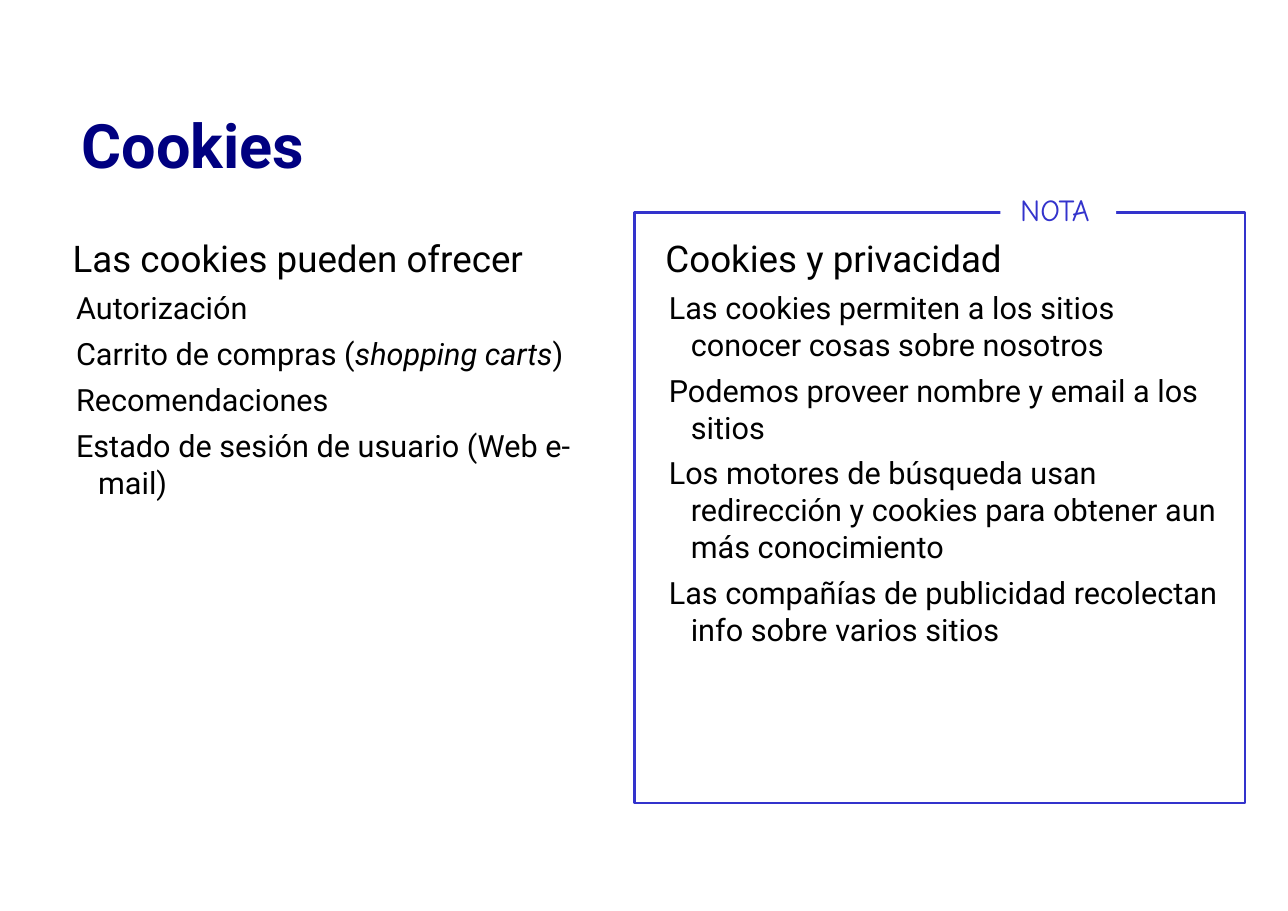
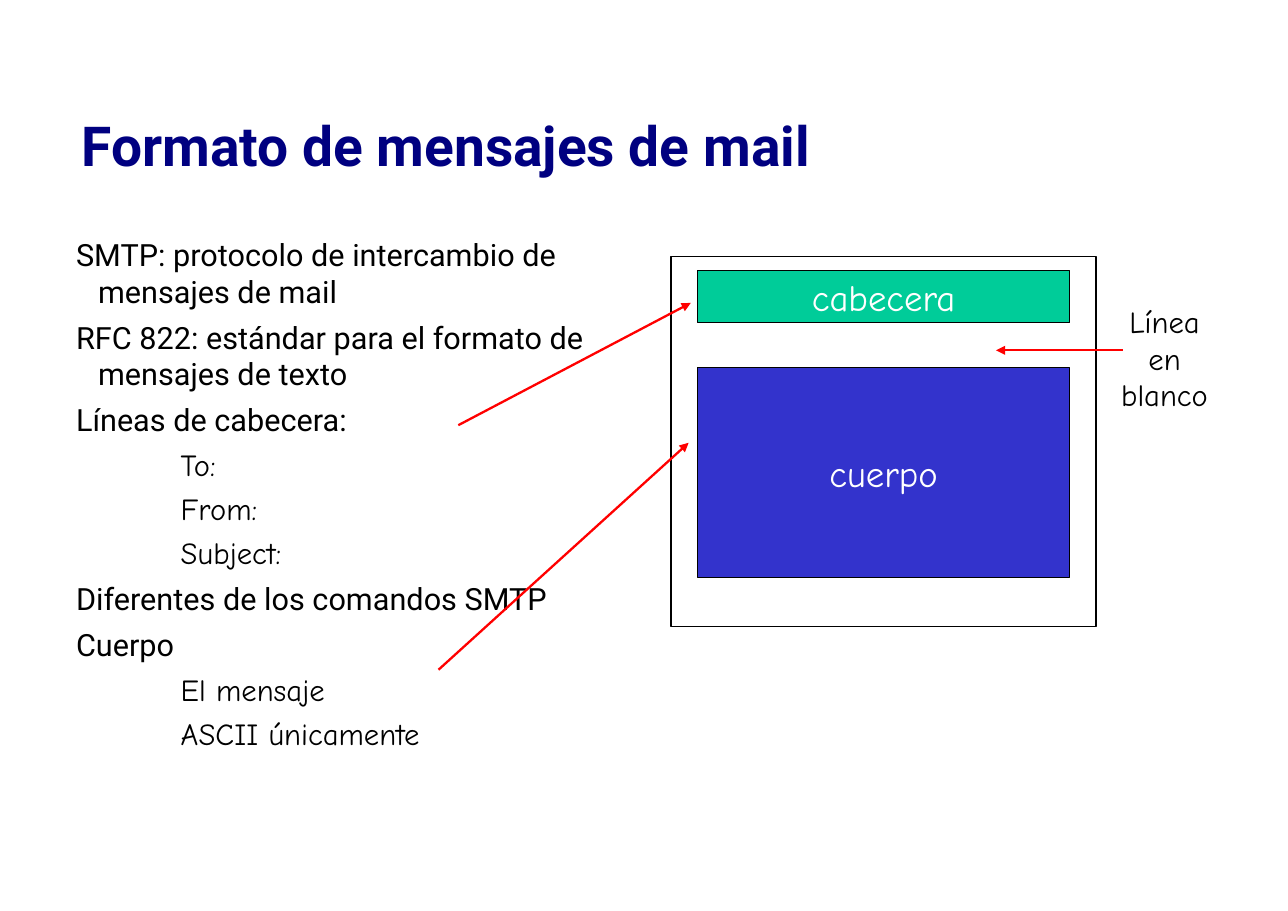
from pptx import Presentation
from pptx.dml.color import RGBColor
from pptx.enum import shapes, text
from pptx.oxml.ns import qn
from pptx.util import Inches, Pt
from lxml import etree

SANS, HAND = "Roboto", "Comic Neue"
NAVY, BLUE, GREEN, RED = "000080", "3333CC", "00CC99", "FF0000"
BLACK, WHITE = "000000", "FFFFFF"

# Paragraph levels: font, size, left margin, first-line indent, space before
LEVELS = [
    (SANS, 24, 0.37, -0.35, 6),
    (SANS, 20, 0.25, -0.2, 6),
    (HAND, 20, 1.25, -0.25, 5),
]

# Content: each line is a level and its runs; runs marked True are italic
OFFERS = [
    (0, [("Las cookies pueden ofrecer", False)]),
    (1, [("Autorización", False)]),
    (1, [("Carrito de compras (", False), ("shopping carts", True),
         (")", False)]),
    (1, [("Recomendaciones", False)]),
    (1, [("Estado de sesión de usuario (Web e-mail)", False)]),
]
PRIVACY = [
    (0, [("Cookies y privacidad", False)]),
    (1, [("Las cookies permiten a los sitios conocer cosas sobre nosotros",
          False)]),
    (1, [("Podemos proveer nombre y email a los sitios", False)]),
    (1, [("Los motores de búsqueda usan redirección y cookies para obtener "
          "aun más conocimiento", False)]),
    (1, [("Las compañías de publicidad recolectan info sobre varios sitios",
          False)]),
]
FORMAT = [
    (1, [("SMTP: protocolo de intercambio de mensajes de mail", False)]),
    (1, [("RFC 822: estándar para el formato de mensajes de texto", False)]),
    (1, [("Líneas de cabecera:", False)]),
    (2, [("To:", False)]),
    (2, [("From:", False)]),
    (2, [("Subject:", False)]),
    (1, [("Diferentes de los comandos SMTP", False)]),
    (1, [("Cuerpo", False)]),
    (2, [("El mensaje", False)]),
    (2, [("ASCII únicamente", False)]),
]
PARTS = [
    ("cabecera", GREEN, 2.46, 0.47),
    ("cuerpo", BLUE, 3.34, 1.9),
]
ARROWS = [
    (4.16, 3.86, 6.27, 2.75),
    (3.98, 6.08, 6.25, 4.02),
    (10.19, 3.18, 9.04, 3.18),
]


def rgb(code):
    return RGBColor.from_string(code)


def place(shape, *box):
    shape.left, shape.top, shape.width, shape.height = map(Inches, box)


def add_run(para, words, font, size, color, bold=False, italic=False):
    run = para.add_run()
    run.text = words
    face = run.font
    face.name, face.size, face.bold, face.italic = font, Pt(size), bold, italic
    face.color.rgb = rgb(color)


def set_title(slide, words, size):
    title = slide.shapes.title
    place(title, 0.64, 0.59, 10.5, 1.44)
    frame = title.text_frame
    frame.auto_size = text.MSO_AUTO_SIZE.NONE
    frame.vertical_anchor = text.MSO_ANCHOR.MIDDLE
    para = frame.paragraphs[0]
    para.alignment = text.PP_ALIGN.LEFT
    add_run(para, words, SANS, size, NAVY, bold=True)


def fill_list(holder, lines, left, height):
    place(holder, left, 2.14, 5.12, height)
    frame = holder.text_frame
    frame.auto_size = text.MSO_AUTO_SIZE.NONE
    frame.margin_left = frame.margin_right = 0
    frame.margin_top = frame.margin_bottom = 0
    for i, (level, runs) in enumerate(lines):
        para = frame.add_paragraph() if i else frame.paragraphs[0]
        font, size, margin, indent, before = LEVELS[level]
        para.level = level
        props = para._p.get_or_add_pPr()
        props.set("marL", str(Inches(margin)))
        props.set("indent", str(Inches(indent)))
        etree.SubElement(props, qn("a:buNone"))
        para.space_before = Pt(before if i else 0)
        for words, italic in runs:
            add_run(para, words, font, size, BLACK, italic=italic)


def add_rect(slide, box, fill=None, line=None, weight=1):
    rect = slide.shapes.add_shape(shapes.MSO_SHAPE.RECTANGLE,
                                  *map(Inches, box))
    rect.shadow.inherit = False
    if fill:
        rect.fill.solid()
        rect.fill.fore_color.rgb = rgb(fill)
    else:
        rect.fill.background()
    if line:
        rect.line.color.rgb = rgb(line)
        rect.line.width = Pt(weight)
    else:
        rect.line.fill.background()
    return rect


def add_arrow(slide, ends):
    arrow = slide.shapes.add_connector(shapes.MSO_CONNECTOR.STRAIGHT,
                                       *map(Inches, ends))
    arrow.line.color.rgb = rgb(RED)
    arrow.line.width = Pt(1.5)
    etree.SubElement(arrow.line._get_or_add_ln(), qn("a:tailEnd"),
                     type="triangle")
    etree.SubElement(arrow._element.spPr, qn("a:effectLst"))


def cookies(deck):
    slide = deck.slides.add_slide(deck.slide_layouts[3])
    set_title(slide, "Cookies", 40)
    fill_list(slide.placeholders[1], OFFERS, 0.64, 2.85)
    fill_list(slide.placeholders[2], PRIVACY, 6.02, 4.27)

    # Note frame, with its label breaking the top edge
    add_rect(slide, (5.76, 1.93, 5.54, 5.36), line=BLUE, weight=1.5)
    label = add_rect(slide, (9.08, 1.68, 1.05, 0.42), fill=WHITE)
    frame = label.text_frame
    frame.margin_left, frame.margin_right = Inches(0.18), 0
    frame.vertical_anchor = text.MSO_ANCHOR.TOP
    para = frame.paragraphs[0]
    para.alignment = text.PP_ALIGN.LEFT
    add_run(para, "NOTA", HAND, 20, BLUE)


def mail(deck):
    slide = deck.slides.add_slide(deck.slide_layouts[1])
    set_title(slide, "Formato de mensajes de mail", 36)
    fill_list(slide.placeholders[1], FORMAT, 0.64, 5.14)

    # Message: outer frame and its two parts
    add_rect(slide, (6.09, 2.33, 3.86, 3.36), line=BLACK)
    for name, fill, top, height in PARTS:
        part = add_rect(slide, (6.33, top, 3.38, height), fill, BLACK, 0.75)
        frame = part.text_frame
        frame.word_wrap = False
        frame.vertical_anchor = text.MSO_ANCHOR.MIDDLE
        para = frame.paragraphs[0]
        para.alignment = text.PP_ALIGN.CENTER
        add_run(para, name, HAND, 24, WHITE)

    # Blank-line label
    note = slide.shapes.add_textbox(*map(Inches, (9.96, 2.7, 1.22, 0.74)))
    frame = note.text_frame
    frame.word_wrap = False
    for i, words in enumerate(["Línea en", "blanco"]):
        para = frame.add_paragraph() if i else frame.paragraphs[0]
        para.alignment = text.PP_ALIGN.CENTER
        add_run(para, words, HAND, 20, BLACK)

    for ends in ARROWS:
        add_arrow(slide, ends)


def main():
    deck = Presentation()
    deck.slide_width, deck.slide_height = Inches(11.69), Inches(8.27)
    cookies(deck)
    mail(deck)
    deck.save("out.pptx")


if __name__ == "__main__":
    main()
